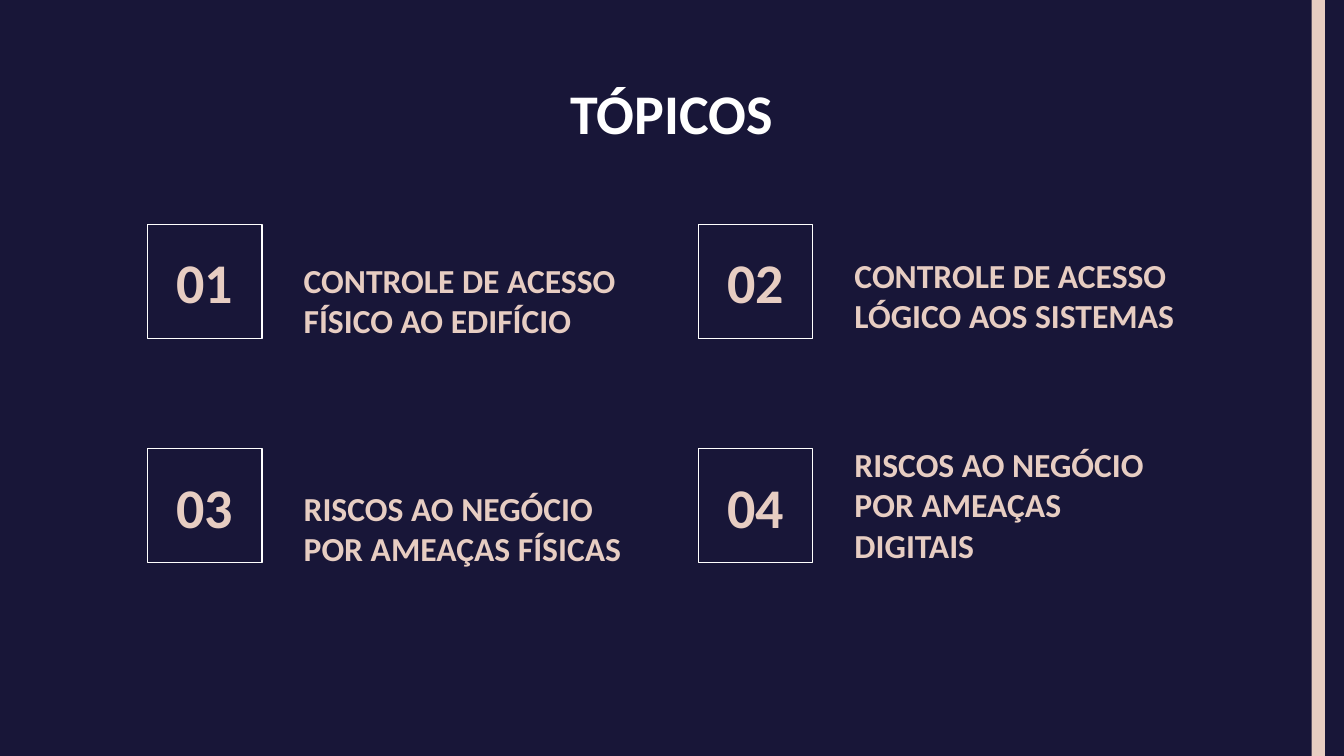
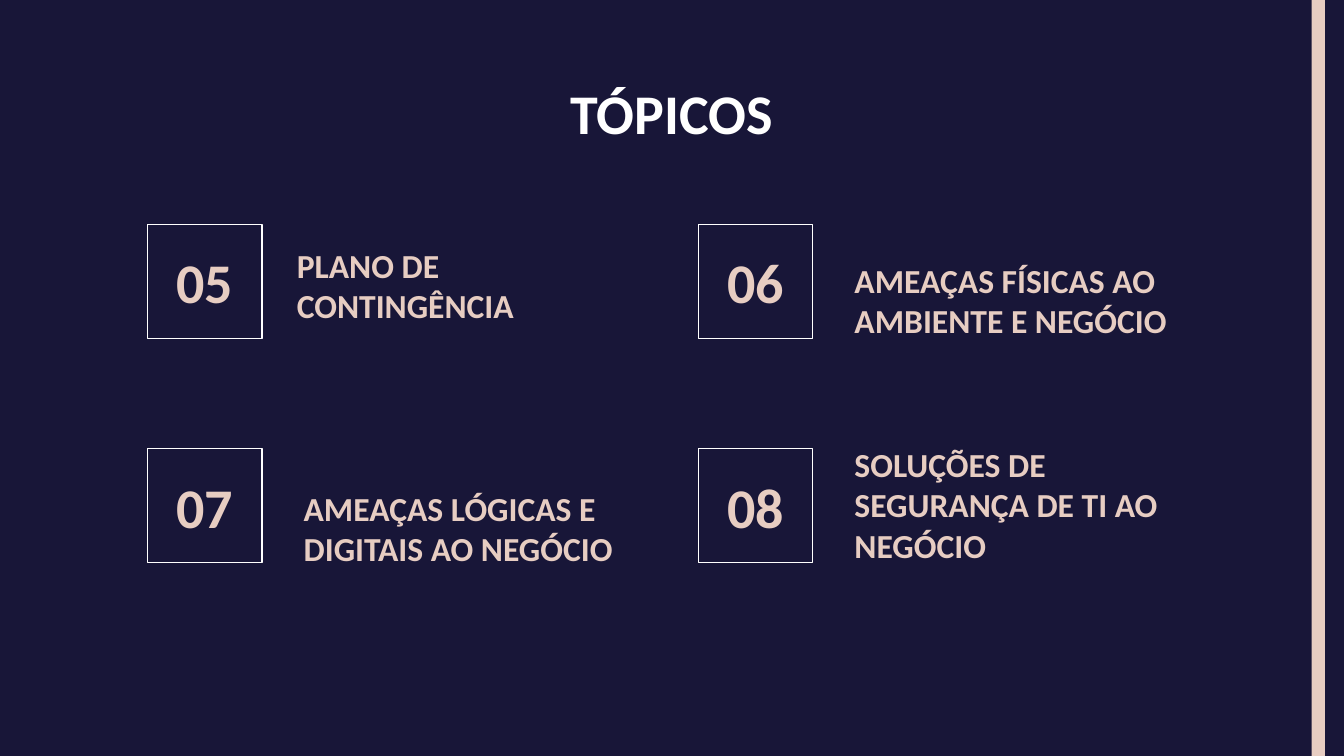
from dataclasses import dataclass

from pptx import Presentation
from pptx.dml.color import RGBColor
from pptx.enum.shapes import MSO_SHAPE
from pptx.enum.text import MSO_ANCHOR, PP_ALIGN
from pptx.util import Cm, Pt

RECTANGLE = MSO_SHAPE.RECTANGLE
TOP, MIDDLE, BOTTOM = MSO_ANCHOR.TOP, MSO_ANCHOR.MIDDLE, MSO_ANCHOR.BOTTOM
LEFT, CENTER = PP_ALIGN.LEFT, PP_ALIGN.CENTER

NAVY = RGBColor(0x18, 0x16, 0x38)
BLUSH = RGBColor(0xE7, 0xCD, 0xC2)
WHITE = RGBColor(0xFF, 0xFF, 0xFF)
FONT = "Calibri"

PAGE_WIDTH, PAGE_HEIGHT = 25.4, 14.29
GRID_LEFT, GRID_TOP = 2.79, 4.24
COLUMN_STEP, ROW_STEP = 10.41, 4.24
BOX_SIZE = 2.16


@dataclass
class Topic:
    """A topic label and the size of its text area in centimetres."""
    text: str
    height: float = 2.74
    width: float = 6.71
    offset: float = 2.7


AGENDA = [
    [
        Topic("CONTROLE DE ACESSO FÍSICO AO EDIFÍCIO"),
        Topic("CONTROLE DE ACESSO LÓGICO AOS SISTEMAS", height=2.54, width=7.21),
        Topic("RISCOS AO NEGÓCIO POR AMEAÇAS FÍSICAS", height=2.87),
        Topic("RISCOS AO NEGÓCIO POR AMEAÇAS DIGITAIS"),
    ],
    [
        Topic("PLANO DE CONTINGÊNCIA", height=BOX_SIZE, offset=2.57),
        Topic("AMEAÇAS FÍSICAS AO AMBIENTE E NEGÓCIO"),
        Topic("AMEAÇAS LÓGICAS E DIGITAIS AO NEGÓCIO", height=2.87),
        Topic("SOLUÇÕES DE SEGURANÇA DE TI AO NEGÓCIO"),
    ],
]


class TopicDeck:
    """Builds topic pages in one shared style."""

    def __init__(self):
        self.deck = Presentation()
        self.deck.slide_width = Cm(PAGE_WIDTH)
        self.deck.slide_height = Cm(PAGE_HEIGHT)
        background = self.deck.slide_master.background.fill
        background.solid()
        background.fore_color.rgb = NAVY
        self.page = None

    def add_page(self, title):
        self.page = self.deck.slides.add_slide(self.deck.slide_layouts[6])
        self.add_band()
        self.add_text(title, 2, 1.24, PAGE_WIDTH - 4, 1.6, 30, WHITE, CENTER, TOP)

    def add_rectangle(self, left, top, width, height):
        box = self.page.shapes.add_shape(
            RECTANGLE, Cm(left), Cm(top), Cm(width), Cm(height))
        box.shadow.inherit = False
        return box

    def add_band(self):
        band = self.add_rectangle(24.79, 0, 0.25, PAGE_HEIGHT)
        band.fill.solid()
        band.fill.fore_color.rgb = BLUSH
        band.line.fill.background()

    def add_text(self, text, left, top, width, height, size, color, align, anchor):
        box = self.page.shapes.add_textbox(Cm(left), Cm(top), Cm(width), Cm(height))
        self.set_text(box, text, size, color, align, anchor)

    def add_number(self, number, left, top):
        box = self.add_rectangle(left, top, BOX_SIZE, BOX_SIZE)
        box.fill.background()
        box.line.color.rgb = WHITE
        box.line.width = Pt(0.75)
        self.set_text(box, f"{number:02d}", 30, BLUSH, CENTER, MIDDLE)

    def add_topic(self, number, topic, left, top):
        self.add_number(number, left, top)
        label_top = top + (BOX_SIZE - topic.height) / 2
        self.add_text(topic.text, left + topic.offset, label_top,
                      topic.width, topic.height, 18, BLUSH, LEFT, BOTTOM)

    def set_text(self, box, text, size, color, align, anchor):
        frame = box.text_frame
        frame.word_wrap = True
        frame.vertical_anchor = anchor
        frame.margin_left = frame.margin_right = Cm(0.25)
        frame.margin_top = frame.margin_bottom = Cm(0.25)
        para = frame.paragraphs[0]
        para.text = text
        para.alignment = align
        para.font.name = FONT
        para.font.size = Pt(size)
        para.font.bold = True
        para.font.color.rgb = color


def main():
    builder = TopicDeck()
    number = 1
    for topics in AGENDA:
        builder.add_page("TÓPICOS")
        for index, topic in enumerate(topics):
            row, column = divmod(index, 2)
            builder.add_topic(number, topic, GRID_LEFT + column * COLUMN_STEP,
                              GRID_TOP + row * ROW_STEP)
            number += 1
    builder.deck.save("out.pptx")


if __name__ == "__main__":
    main()
